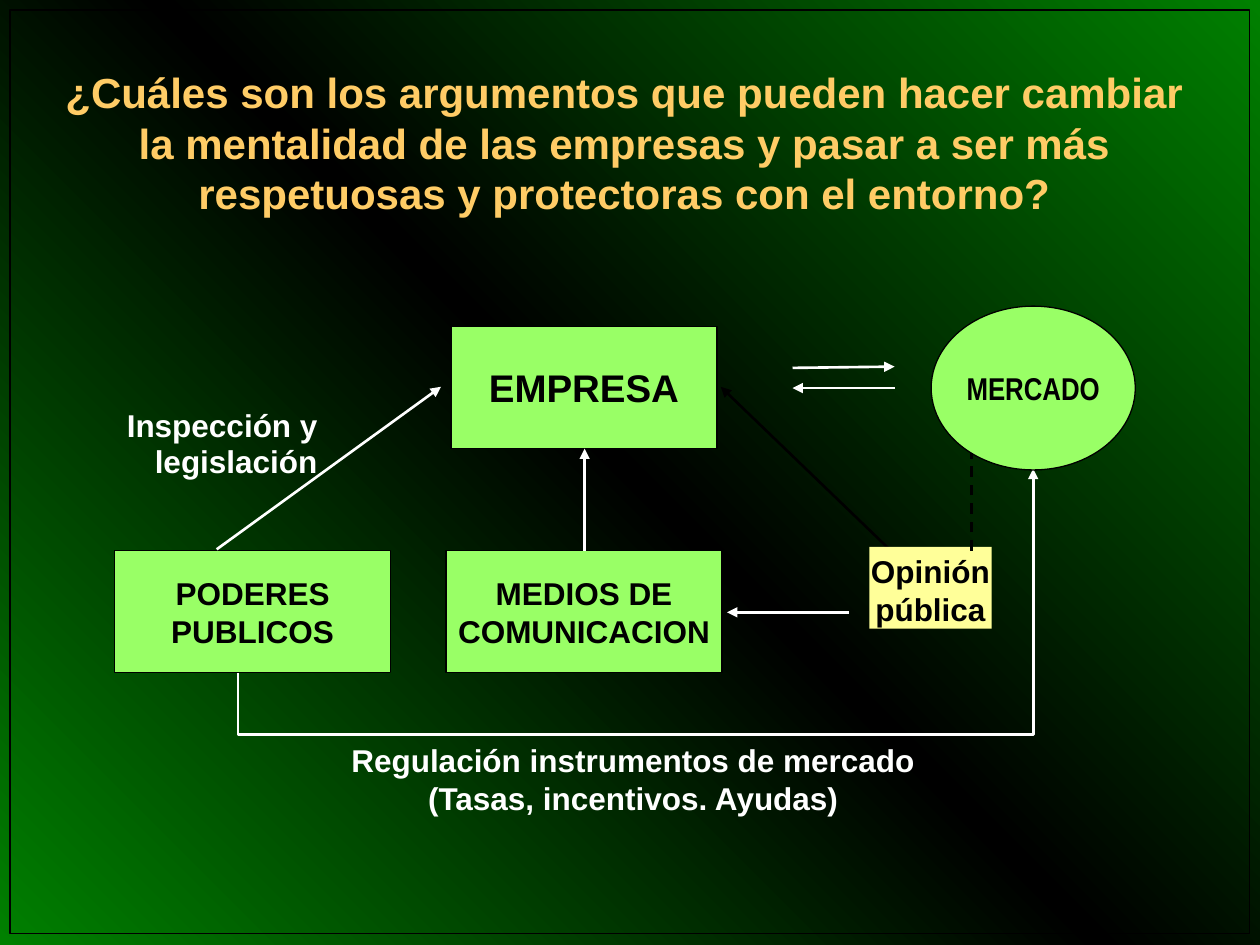
import copy

import lxml.etree
import pptx
import pptx.dml.color
import pptx.enum.dml
import pptx.enum.shapes
import pptx.enum.text
import pptx.oxml.ns
import pptx.util

Inches = pptx.util.Inches
Pt = pptx.util.Pt
Shape = pptx.enum.shapes.MSO_SHAPE
Align = pptx.enum.text.PP_ALIGN
Anchor = pptx.enum.text.MSO_ANCHOR
qn = pptx.oxml.ns.qn

WHITE, BLACK, GREEN = "FFFFFF", "000000", "99FF66"
TIGHT = (0, 0.04, 0, 0)


def tint(color, code):
    """Set a colour from a hex string."""
    color.rgb = pptx.dml.color.RGBColor.from_string(code)


def write(shape, lines, size, code, inset=(0.1, 0.05, 0.1, 0.05),
          anchor=Anchor.MIDDLE, align=Align.CENTER, face="Arial"):
    """Fill a shape with bold paragraphs of one style."""
    frame = shape.text_frame
    frame.word_wrap = True
    frame.vertical_anchor = anchor
    (frame.margin_left, frame.margin_top,
     frame.margin_right, frame.margin_bottom) = map(Inches, inset)
    frame.text = "\n".join(lines)
    for para in frame.paragraphs:
        para.alignment = align
        font = para.font
        font.name, font.size, font.bold = face, Pt(size), True
        tint(font.color, code)


def label(slide, box, lines, size, code, **style):
    """Add a text box."""
    shape = slide.shapes.add_textbox(*map(Inches, box))
    write(shape, lines, size, code, **style)
    return shape


def block(slide, box, fill=None, edge=BLACK, kind=Shape.RECTANGLE):
    """Add a flat shape with an optional fill and edge."""
    shape = slide.shapes.add_shape(kind, *map(Inches, box))
    shape.shadow.inherit = False
    if fill:
        shape.fill.solid()
        tint(shape.fill.fore_color, fill)
    else:
        shape.fill.background()
    if edge:
        tint(shape.line.color, edge)
        shape.line.width = Pt(0.75)
    else:
        shape.line.fill.background()
    return shape


def stroke(shape, code, head=True):
    """Style a line and give its end an arrowhead."""
    tint(shape.line.color, code)
    shape.line.width = Pt(1.5)
    if head:
        line = shape.line._get_or_add_ln()
        lxml.etree.SubElement(line, qn("a:tailEnd"), type="triangle")


def link(slide, start, end, code=WHITE, dash=False):
    """Draw an arrow, or a dashed line without a head."""
    line = slide.shapes.add_connector(
        pptx.enum.shapes.MSO_CONNECTOR.STRAIGHT,
        *map(Inches, (*start, *end)))
    stroke(line, code, not dash)
    if dash:
        line.line.dash_style = pptx.enum.dml.MSO_LINE.DASH
    lxml.etree.SubElement(line._element.spPr, qn("a:effectLst"))


def route(slide, spots):
    """Draw an open path that ends in an arrowhead."""
    first, *rest = [tuple(map(Inches, spot)) for spot in spots]
    path = slide.shapes.build_freeform(*first)
    path.add_line_segments(rest, close=False)
    shape = path.convert_to_shape()
    shape.shadow.inherit = False
    shape.fill.background()
    stroke(shape, WHITE)


def backdrop(slide):
    """Paint the diagonal green and black background."""
    fill = slide.background.fill
    fill.gradient()
    fill.gradient_angle = 45
    stops = slide._element.xpath(".//a:gsLst")[0]
    stops.append(copy.deepcopy(stops[0]))
    shades = ((0, "008000"), (0.5, BLACK), (1, "008000"))
    for stop, (place, code) in zip(fill.gradient_stops, shades):
        stop.position = place
        tint(stop.color, code)


def title(slide, box):
    """Place the question at the top."""
    text = ("¿Cuáles son los argumentos que pueden hacer cambiar la mentalidad "
            "de las empresas y pasar a ser más respetuosas y protectoras con "
            "el entorno?")
    label(slide, box, [text], 24, "FFCC66")


def diagram(slide, box):
    """Place the actors and the links between them."""
    left, top = box

    def at(x, y, *size):
        """Shift a place into the diagram."""
        return (left + x, top + y, *size)

    shape = block(slide, at(0.01, 1.97, 2.19, 0.97), GREEN)
    write(shape, ["PODERES PUBLICOS"], 18, BLACK, (0.1, 0.01, 0.1, 0.01))
    link(slide, at(0.82, 1.96), at(2.6, 0.67))
    shape = block(slide, at(2.64, 1.97, 2.19, 0.97), GREEN)
    write(shape, ["MEDIOS DE COMUNICACION"], 18, BLACK, (0, 0.05, 0, 0.05))
    shape = block(slide, at(2.68, 0.19, 2.11, 0.97), GREEN)
    write(shape, ["EMPRESA"], 22, BLACK)
    link(slide, at(3.74, 1.97), at(3.74, 1.16))
    link(slide, at(6.17, 1.97), at(4.82, 0.67), BLACK)
    shape = block(slide, at(6, 1.94, 0.97, 0.65), "FFFF99", None)
    write(shape, ["Opinión pública"], 18, BLACK, TIGHT, Anchor.TOP)
    shape = label(slide, at(0, 0.8, 1.62, 0.49), ["Inspección y legislación"],
                  18, WHITE, inset=TIGHT, anchor=Anchor.TOP, align=Align.RIGHT)
    shape.text_frame.paragraphs[0].line_spacing = 0.96
    route(slide, [at(0.99, 2.94), at(0.99, 3.43), at(7.3, 3.43), at(7.3, 1.32)])
    link(slide, at(6.2, 0.68), at(5.39, 0.68))
    link(slide, at(5.39, 0.52), at(6.2, 0.51))
    link(slide, at(5.84, 2.46), at(4.87, 2.46))
    link(slide, at(6.81, 1.97), at(6.81, 1.16), BLACK, dash=True)
    label(slide, at(1.13, 3.44, 5.99, 0.65),
          ["Regulación instrumentos de mercado", "(Tasas, incentivos. Ayudas)"],
          18, WHITE, inset=TIGHT, anchor=Anchor.TOP)
    shape = block(slide, at(6.49, 0.03, 1.62, 1.3), GREEN, kind=Shape.OVAL)
    write(shape, ["MERCADO"], 18, BLACK, (0, 0, 0, 0), face="Arial Narrow")


def main():
    """Build and save the slide."""
    deck = pptx.Presentation()
    deck.slide_width, deck.slide_height = Inches(10), Inches(7.5)
    slide = deck.slides.add_slide(deck.slide_layouts[6])
    backdrop(slide)
    title(slide, (0.35, 0.48, 9.21, 1.3))
    block(slide, (0.08, 0.08, 9.84, 7.33))
    diagram(slide, (0.9, 2.4))
    deck.save("out.pptx")


if __name__ == "__main__":
    main()
